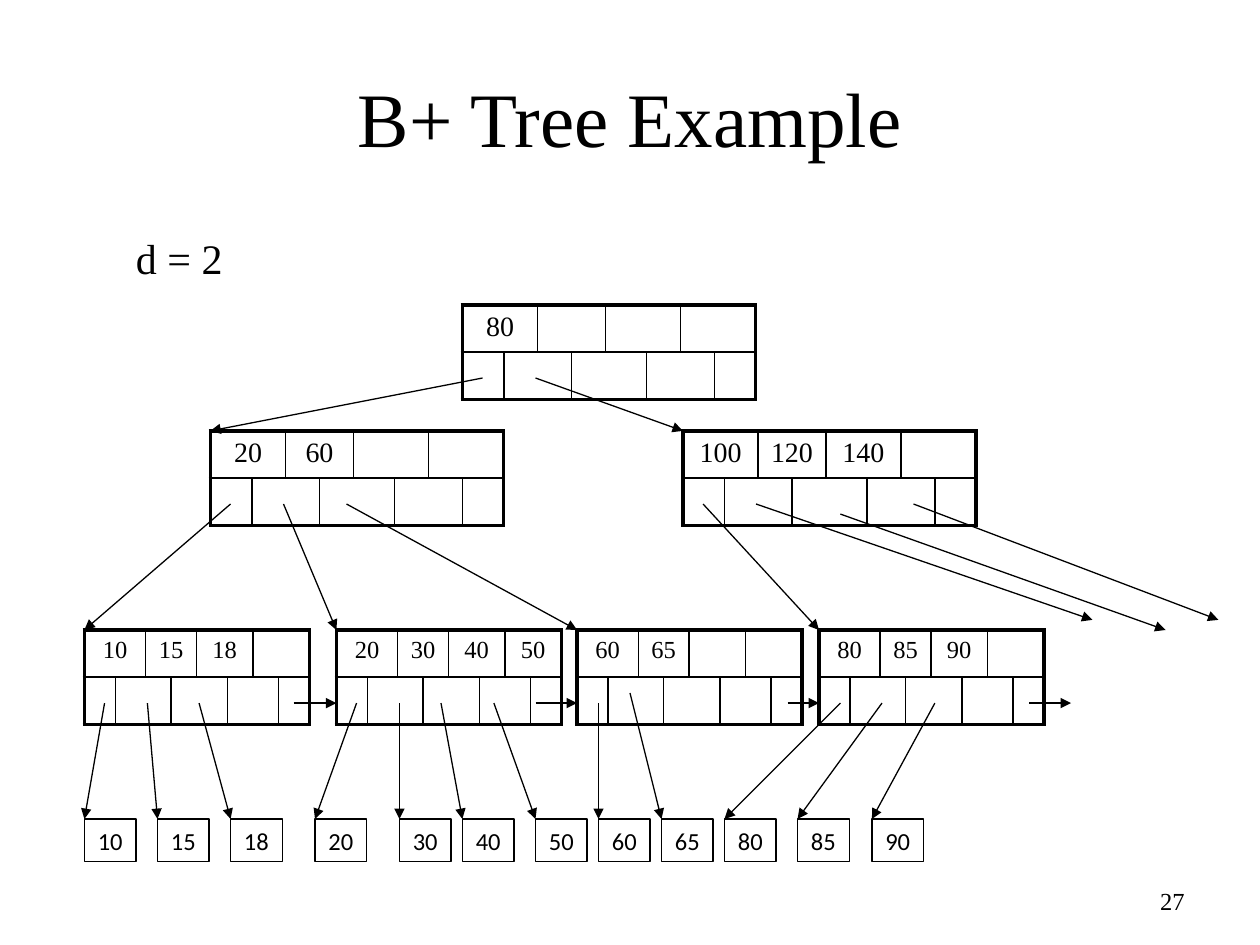
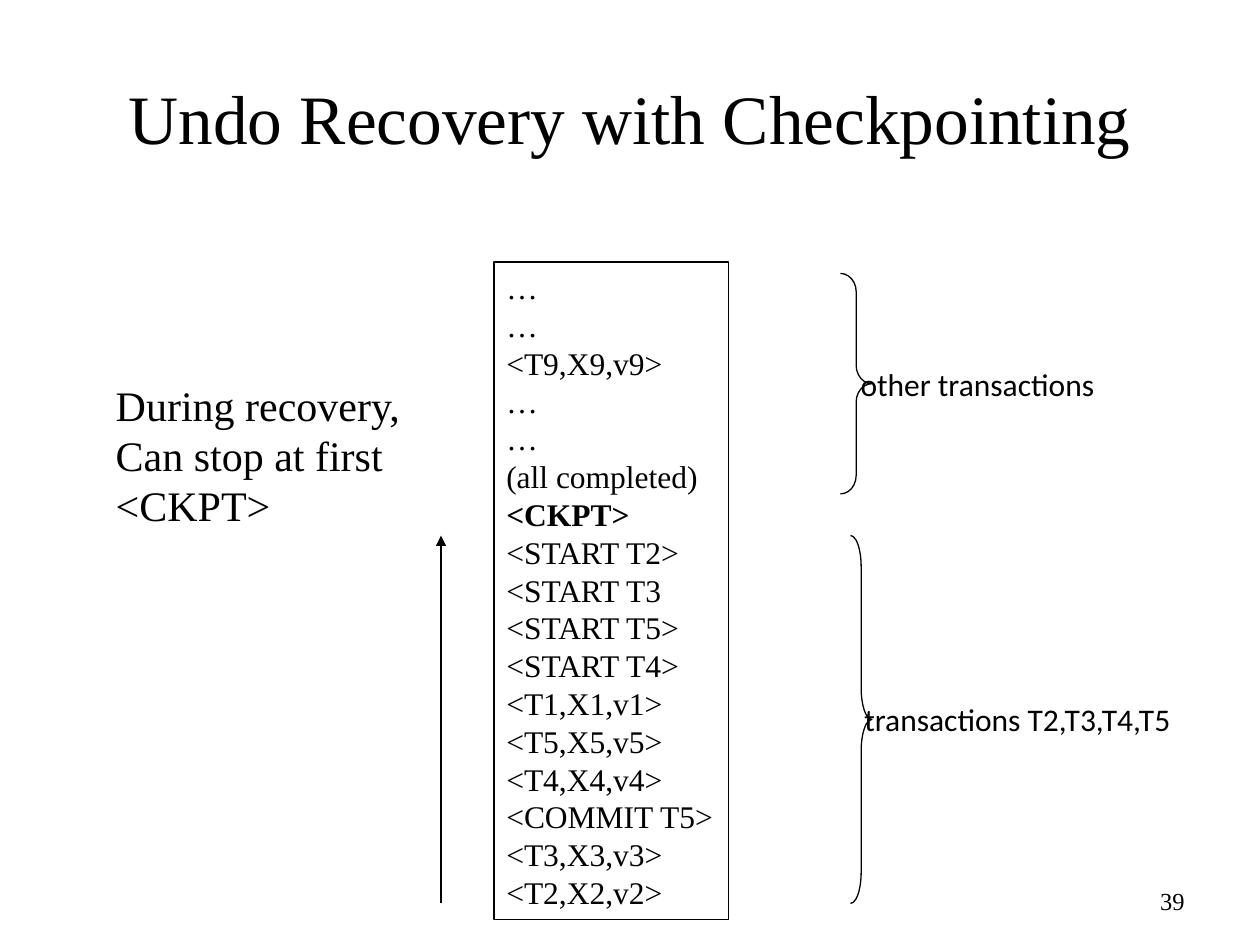
import pptx
import pptx.util
import pptx.dml.color
import pptx.enum.shapes
import pptx.enum.text
import pptx.oxml
import pptx.oxml.ns
from pptx.util import Inches, Pt

BLACK = pptx.dml.color.RGBColor(0, 0, 0)
SERIF, SANS = "Times New Roman", "Calibri"
SHAPE = pptx.enum.shapes.MSO_SHAPE
ALIGN = pptx.enum.text.PP_ALIGN
ANCHOR = pptx.enum.text.MSO_ANCHOR

# Tree content: left, top, keys
INNER_NODES = [
    (3.67, 2.42, ["80"]),
    (1.67, 3.42, ["20", "60"]),
    (5.42, 3.42, ["100", "120", "140"]),
]
LEAVES = [
    (0.67, 5, ["10", "15", "18"]),
    (2.67, 5, ["20", "30", "40", "50"]),
    (4.58, 5, ["60", "65"]),
    (6.5, 5, ["80", "85", "90"]),
]
COLUMN_SHARES = [0.33, 0.27, 0.27, 0.27, 0.33, 0.27, 0.27, 0.33]
KEY_SPANS = [(0, 1), (2, 3), (4, 5), (6, 7)]
POINTER_SPANS = [(0, 0), (1, 2), (3, 4), (5, 6), (7, 7)]
ROW_HEIGHT = 0.375

CHILD_POINTERS = [
    ((3.83, 3), (1.67, 3.42)), ((4.25, 3), (5.42, 3.42)),
    ((1.83, 4), (0.67, 5)), ((2.25, 4), (2.67, 5)), ((2.75, 4), (4.58, 5)),
    ((5.58, 4), (6.5, 5)), ((6, 4), (8.67, 4.92)),
    ((6.67, 4.08), (9.25, 5)), ((7.25, 4), (9.67, 4.92)),
]
POINTER_Y, RECORD_TOP = 5.58, 6.5
LEAF_LINKS = [(2.33, 2.67), (4.25, 4.58), (6.25, 6.5), (8.17, 8.5)]
# Data records: key, left of the box, start of its pointer
RECORDS = [
    ("10", 0.67, (0.83, POINTER_Y)), ("15", 1.25, (1.17, POINTER_Y)),
    ("18", 1.83, (1.58, POINTER_Y)), ("20", 2.5, (2.83, POINTER_Y)),
    ("30", 3.17, (3.17, POINTER_Y)), ("40", 3.67, (3.5, POINTER_Y)),
    ("50", 4.25, (3.92, POINTER_Y)), ("60", 4.75, (4.75, POINTER_Y)),
    ("65", 5.25, (5, 5.5)), ("80", 5.75, (6.67, POINTER_Y)),
    ("85", 6.33, (7, POINTER_Y)), ("90", 6.92, (7.42, POINTER_Y)),
]

# Recovery content
LOG = [
    "…", "…", "<T9,X9,v9>", "…", "…", "(all completed)", "<CKPT>",
    "<START T2>", "<START T3", "<START T5>", "<START T4>", "<T1,X1,v1>",
    "<T5,X5,v5>", "<T4,X4,v4>", "<COMMIT T5>", "<T3,X3,v3>", "<T2,X2,v2>",
]
RECOVERY_NOTE = ["During recovery,", "Can stop at first", "<CKPT>"]
# Brace box, curvature, label, label left
LOG_GROUPS = [
    ((6.75, 4.25, 0.17, 2.92), 1.458, "transactions T2,T3,T4,T5", 6.86),
    ((6.67, 2.17, 0.25, 1.75), 0.583, "other transactions", 6.83),
]


def write(frame, lines, size, font=SERIF, align=ALIGN.LEFT, anchor=ANCHOR.TOP,
          wrap=False, bold_line=None):
    """Fill a text frame, one paragraph per line."""
    frame.word_wrap = wrap
    frame.vertical_anchor = anchor
    for index, line in enumerate(lines):
        paragraph = frame.paragraphs[0] if index == 0 else frame.add_paragraph()
        paragraph.alignment = align
        run = paragraph.add_run()
        run.text = line
        run.font.name, run.font.size = font, Pt(size)
        run.font.bold = line == bold_line
        run.font.color.rgb = BLACK


def add_text(slide, box, lines, size, **text_format):
    frame = slide.shapes.add_textbox(*map(Inches, box)).text_frame
    write(frame, lines, size, **text_format)
    return frame


def add_outline(slide, preset, box):
    shape = slide.shapes.add_shape(preset, *map(Inches, box))
    shape.shadow.inherit = False
    shape.fill.background()
    shape.line.color.rgb = BLACK
    shape.line.width = Pt(0.75)
    return shape


def add_arrow(slide, start, end):
    arrow = slide.shapes.add_connector(
        pptx.enum.shapes.MSO_CONNECTOR.STRAIGHT, *map(Inches, (*start, *end)))
    arrow.line.color.rgb = BLACK
    arrow.line.width = Pt(0.75)
    head = pptx.oxml.ns.qn("a:tailEnd")
    arrow.line._get_or_add_ln().makeelement(head)
    line = arrow.line._get_or_add_ln()
    line.append(line.makeelement(head, {"type": "triangle"}))
    properties = arrow._element.spPr
    properties.append(properties.makeelement(pptx.oxml.ns.qn("a:effectLst")))


def set_borders(cell, widths):
    """Draw the borders of a cell; widths are in points, keyed L, R, T, B."""
    properties = cell._tc.get_or_add_tcPr()
    for index, (side, width) in enumerate(widths.items()):
        properties.insert(index, pptx.oxml.parse_xml(
            f'<a:ln{side} {pptx.oxml.ns.nsdecls("a")} w="{Pt(width)}">'
            f'<a:solidFill><a:srgbClr val="{BLACK}"/></a:solidFill></a:ln{side}>'))


def add_node(slide, left, top, keys, width, size):
    """Add a tree node: keys in the upper row, pointers in the lower one."""
    table = slide.shapes.add_table(
        2, len(COLUMN_SHARES),
        *map(Inches, (left, top, width, 2 * ROW_HEIGHT))).table
    table.first_row = table.horz_banding = False
    for column, share in zip(table.columns, COLUMN_SHARES):
        column.width = Inches(width * share / sum(COLUMN_SHARES))
    for row, spans in enumerate((KEY_SPANS, POINTER_SPANS)):
        table.rows[row].height = Inches(ROW_HEIGHT)
        for slot, (first, last) in enumerate(spans):
            cell = table.cell(row, first)
            if last > first:
                cell.merge(table.cell(row, last))
            cell.fill.background()
            edges = {"L": first == 0, "R": last == len(COLUMN_SHARES) - 1,
                     "T": row == 0, "B": row == 1}
            set_borders(cell, {side: 2.25 if outer else 1
                               for side, outer in edges.items()})
            if row == 0 and slot < len(keys):
                write(cell.text_frame, [keys[slot]], size,
                      align=ALIGN.CENTER, wrap=True)
            else:
                cell.margin_top = cell.margin_bottom = 0


def add_slide(deck, title, number, title_size):
    slide = deck.slides.add_slide(deck.slide_layouts[5])
    heading = slide.shapes.title
    heading.left, heading.top, heading.width, heading.height = map(
        Inches, (0.5, 0.3, 9, 1.25))
    write(heading.text_frame, [title], title_size, align=ALIGN.CENTER,
          anchor=ANCHOR.MIDDLE, wrap=True)
    add_text(slide, (7.17, 6.95, 2.33, 0.4), [number], 14, align=ALIGN.RIGHT,
             anchor=ANCHOR.MIDDLE, wrap=True)
    return slide


def build_tree(deck):
    slide = add_slide(deck, "B+ Tree Example", "27", 44)
    for node in INNER_NODES:
        add_node(slide, *node, width=2.33, size=16)
    for leaf in LEAVES:
        add_node(slide, *leaf, width=1.75, size=14)
    for start, end in CHILD_POINTERS:
        add_arrow(slide, start, end)
    for start, end in LEAF_LINKS:
        add_arrow(slide, (start, POINTER_Y), (end, POINTER_Y))
    for key, left, pointer in RECORDS:
        record = add_outline(slide, SHAPE.RECTANGLE, (left, RECORD_TOP, 0.41, 0.34))
        write(record.text_frame, [key], 14, font=SANS, align=ALIGN.CENTER,
              anchor=ANCHOR.MIDDLE)
        add_arrow(slide, pointer, (left, RECORD_TOP))
    add_text(slide, (0.98, 1.8, 0.89, 0.5), ["d = 2"], 24)


def build_recovery(deck):
    slide = add_slide(deck, "Undo Recovery with Checkpointing", "39", 39.6)
    log = add_outline(slide, SHAPE.RECTANGLE, (3.92, 2.08, 1.86, 5.22))
    write(log.text_frame, LOG, 18, bold_line="<CKPT>")
    add_text(slide, (0.82, 2.96, 2.48, 1.3), RECOVERY_NOTE, 24)
    add_arrow(slide, (3.5, 7.17), (3.5, 4.25))
    for box, curvature, label, label_left in LOG_GROUPS:
        brace = add_outline(slide, SHAPE.RIGHT_BRACE, box)
        brace.adjustments[0] = curvature
        middle = box[1] + box[3] / 2
        frame = add_text(slide, (label_left, middle - 0.2, 2.45, 0.4), [label], 18,
                         font=SANS, anchor=ANCHOR.MIDDLE, wrap=True)
        frame.margin_left = frame.margin_right = 0


def main():
    deck = pptx.Presentation()
    deck.slide_width, deck.slide_height = Inches(10), Inches(7.5)
    build_tree(deck)
    build_recovery(deck)
    deck.save("out.pptx")


if __name__ == "__main__":
    main()
